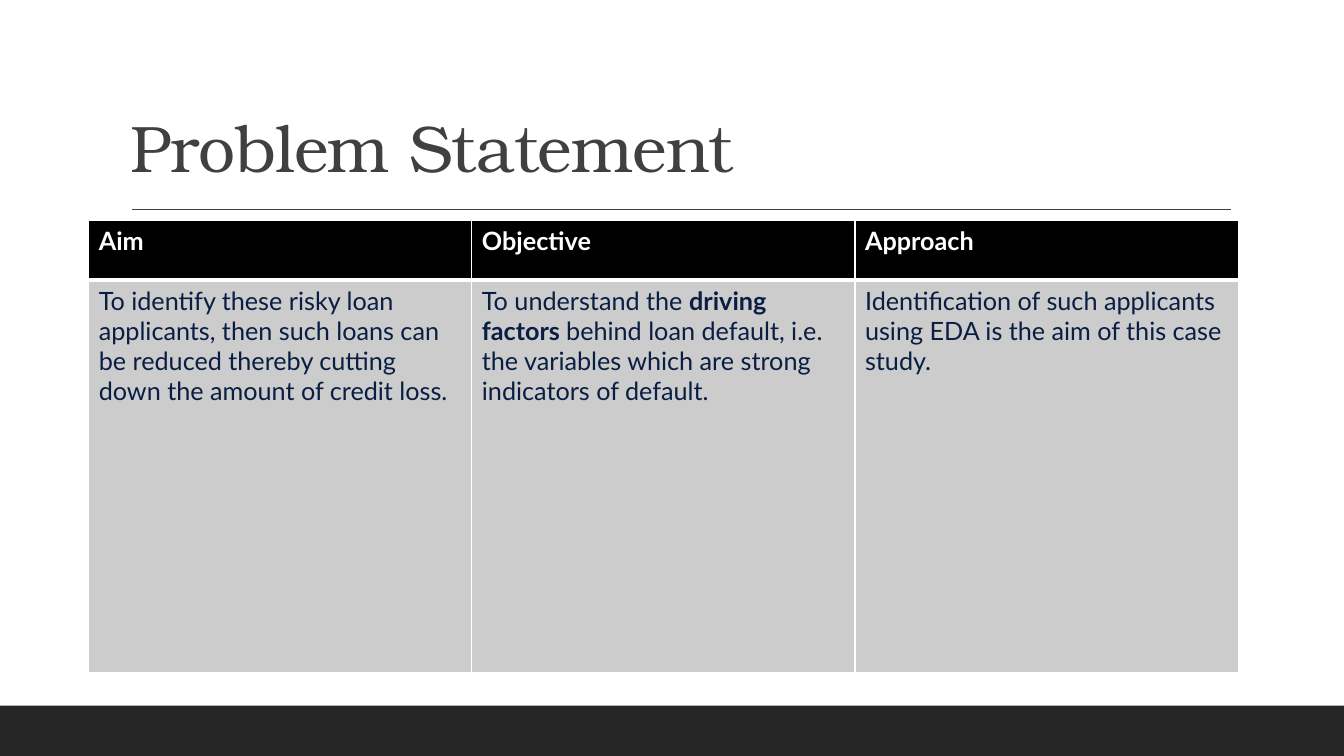
from dataclasses import dataclass

import pptx
import pptx.dml.color
import pptx.enum.shapes
import pptx.enum.text
import pptx.oxml
import pptx.oxml.ns
import pptx.util

Inches = pptx.util.Inches


@dataclass(frozen=True)
class Theme:
    title_font: str = "TeX Gyre Bonum"
    body_font: str = "Lato"
    title_size: int = 47
    body_size: int = 18
    heading: str = "404040"
    footer: str = "262626"
    header_fill: str = "000000"
    body_fill: str = "CCCCCC"
    body_text: str = "091E42"
    white: str = "FFFFFF"


THEME = Theme()
COLUMNS = [
    ("Aim", [("To identify these risky loan applicants, then such loans can be "
              "reduced thereby cutting down the amount of credit loss.", False)]),
    ("Objective", [("To understand the ", False),
                   ("driving factors ", True),
                   ("behind loan default, i.e. the variables which are strong "
                    "indicators of default.", False)]),
    ("Approach", [("Identification of such applicants using EDA is the aim of "
                   "this case study.", False)]),
]


def rgb(value):
    return pptx.dml.color.RGBColor.from_string(value)


def add_span(para, text, font, size, color, bold=False):
    span = para.add_run()
    span.text = text
    span.font.name = font
    span.font.size = pptx.util.Pt(size)
    span.font.color.rgb = rgb(color)
    span.font.bold = bold
    return span


def add_footer_band(page):
    band = page.shapes.add_shape(
        pptx.enum.shapes.MSO_SHAPE.RECTANGLE,
        Inches(0), Inches(7), Inches(13.33), Inches(0.5))
    band.shadow.inherit = False
    band.fill.solid()
    band.fill.fore_color.rgb = rgb(THEME.footer)
    band.line.fill.background()


def add_title_rule(page):
    rule = page.shapes.add_connector(
        pptx.enum.shapes.MSO_CONNECTOR.STRAIGHT,
        Inches(1.31), Inches(2.08), Inches(12.21), Inches(2.08))
    rule.line.color.rgb = rgb(THEME.heading)
    rule.line.width = pptx.util.Pt(1)
    pptx.oxml.ns.qn("a:effectLst")
    rule.element.spPr.append(pptx.oxml.parse_xml(
        f'<a:effectLst {pptx.oxml.ns.nsdecls("a")}/>'))


def add_title(page, text):
    box = page.shapes.add_textbox(Inches(1.2), Inches(0.31), Inches(11), Inches(1.59))
    frame = box.text_frame
    frame.word_wrap = True
    frame.vertical_anchor = pptx.enum.text.MSO_ANCHOR.BOTTOM
    para = frame.paragraphs[0]
    para.line_spacing = 0.9
    span = add_span(para, text, THEME.title_font, THEME.title_size, THEME.heading)
    span.font._element.set("spc", "-50")


def set_borders(cell, widths):
    properties = cell._tc.get_or_add_tcPr()
    for index, (side, width) in enumerate(widths.items()):
        properties.insert(index, pptx.oxml.parse_xml(
            f'<a:ln{side} {pptx.oxml.ns.nsdecls("a")} w="{pptx.util.Pt(width)}">'
            f'<a:solidFill><a:srgbClr val="{THEME.white}"/></a:solidFill>'
            f'</a:ln{side}>'))


def fill_cell(cell, spans, color, fill, widths):
    cell.fill.solid()
    cell.fill.fore_color.rgb = rgb(fill)
    set_borders(cell, widths)
    para = cell.text_frame.paragraphs[0]
    for text, bold in spans:
        add_span(para, text, THEME.body_font, THEME.body_size, color, bold)


def add_statement_table(page):
    table = page.shapes.add_table(
        2, len(COLUMNS), Inches(0.88), Inches(2.19), Inches(11.39), Inches(4.48)).table
    for row, height in zip(table.rows, (0.59, 3.89)):
        row.height = Inches(height)
    for index, (heading, spans) in enumerate(COLUMNS):
        table.columns[index].width = Inches(3.8)
        fill_cell(table.cell(0, index), [(heading, True)], THEME.white,
                  THEME.header_fill, {"L": 1, "R": 1, "T": 1, "B": 3})
        fill_cell(table.cell(1, index), spans, THEME.body_text,
                  THEME.body_fill, {"L": 1, "R": 1, "T": 3, "B": 1})


def main():
    deck = pptx.Presentation()
    deck.slide_width = Inches(13.33)
    deck.slide_height = Inches(7.5)
    page = deck.slides.add_slide(deck.slide_layouts[6])
    add_footer_band(page)
    add_title_rule(page)
    add_title(page, "Problem Statement")
    add_statement_table(page)
    deck.save("out.pptx")


if __name__ == "__main__":
    main()
